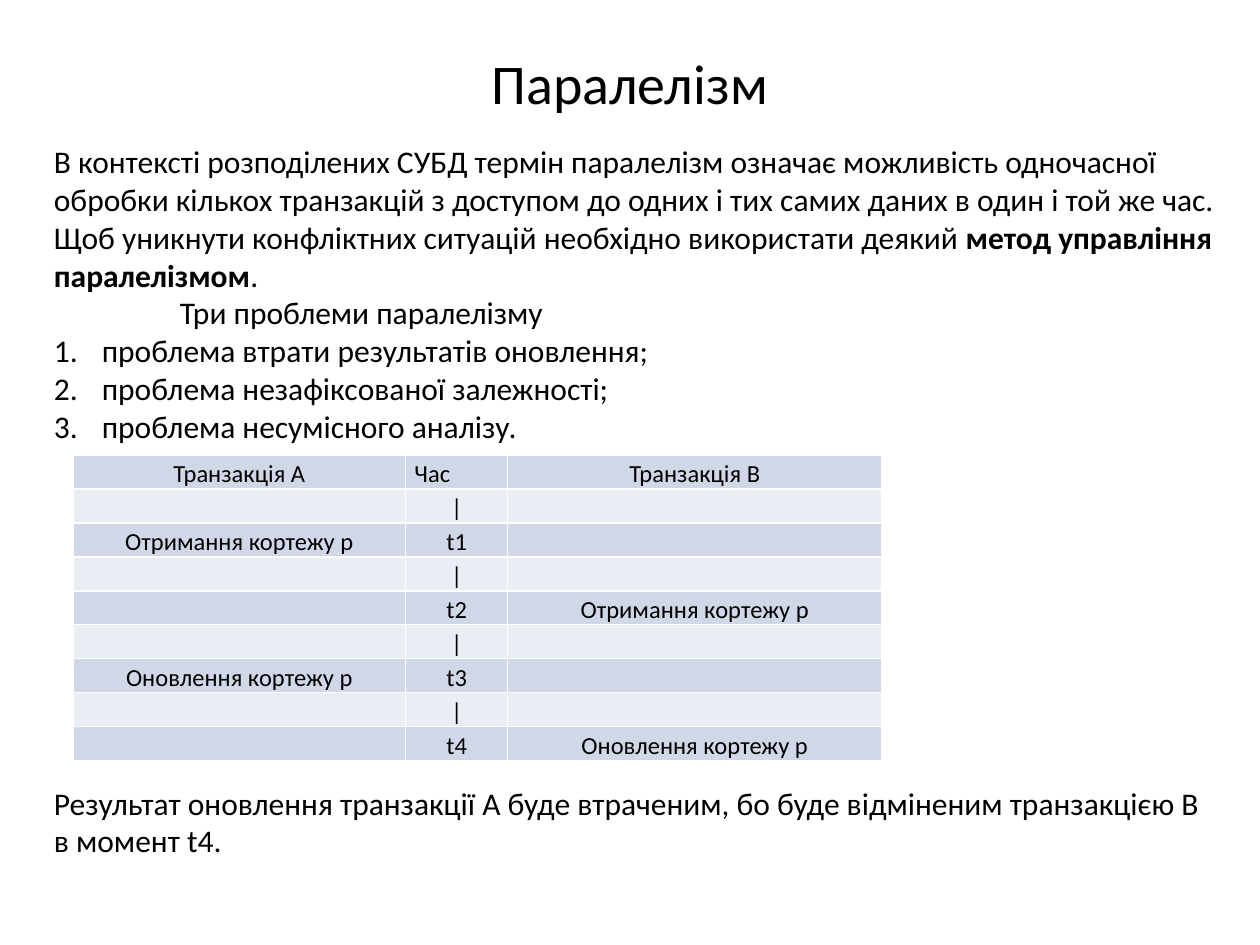
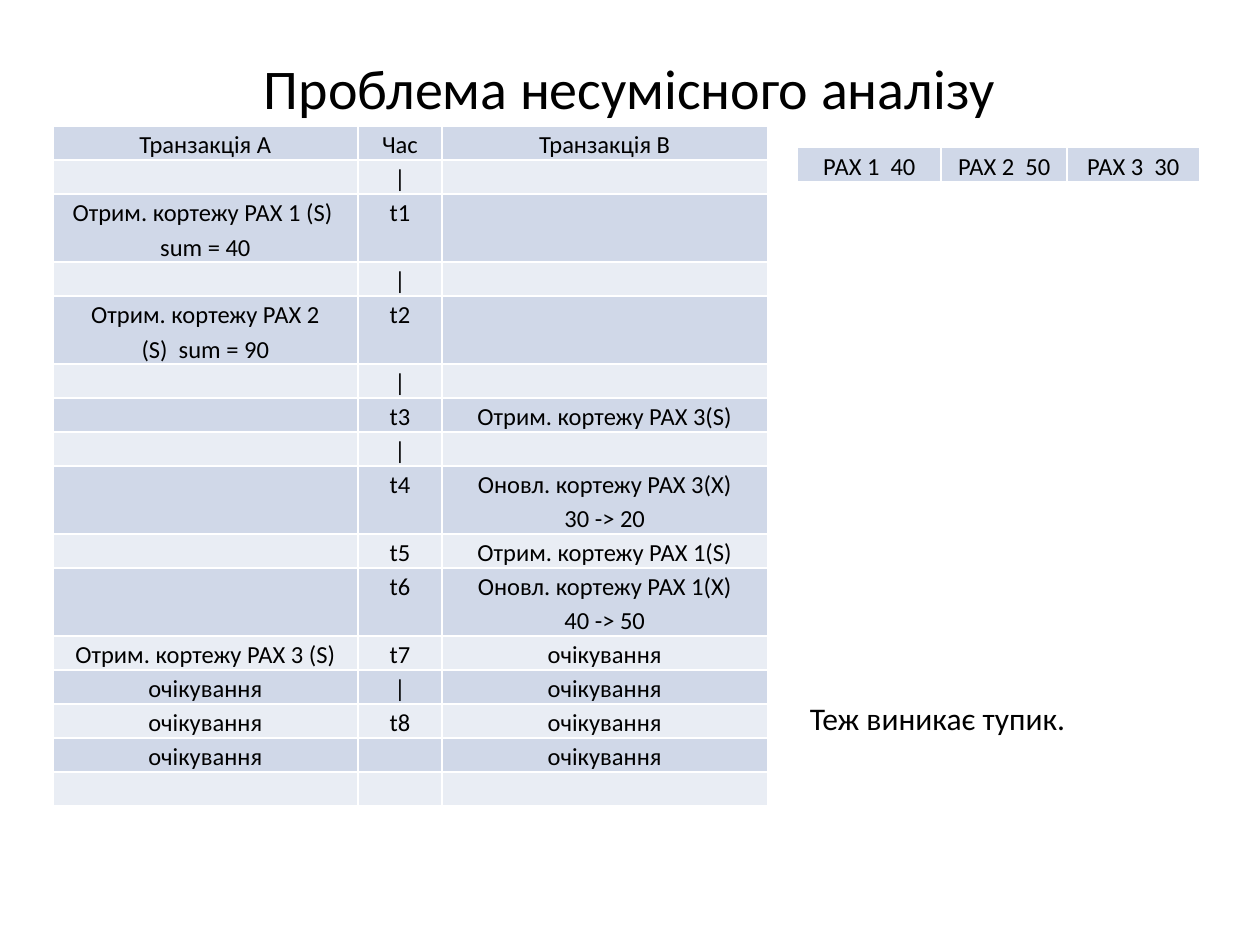
from dataclasses import dataclass

from lxml.etree import SubElement
from pptx import Presentation
from pptx.dml.color import RGBColor as Color
from pptx.enum.text import MSO_ANCHOR as Anchor, PP_ALIGN as Align
from pptx.oxml.ns import qn
from pptx.util import Inches, Pt


@dataclass(frozen=True)
class Theme:
    font: str = "Calibri"
    text: str = "000000"
    background: str = "FFFFFF"
    border: str = "FFFFFF"
    bands: tuple = ("D0D8E8", "E9EDF4")
    title_size: int = 32
    body_size: int = 18
    cell_size: int = 14
    cell_spacing: float = 1.15
    cell_margin: float = 0.07
    line_height: float = 0.27
    number_indent: float = 0.38


THEME = Theme()
TICK = ("", "|", "")
WAIT = "очікування"

LOST_UPDATE = [
    ("Транзакція А", "Час", "Транзакція В"),
    TICK,
    ("Отримання кортежу р", "t1", ""),
    TICK,
    ("", "t2", "Отримання кортежу р"),
    TICK,
    ("Оновлення кортежу р", "t3", ""),
    TICK,
    ("", "t4", "Оновлення кортежу р"),
]

# A line break in a cell starts a new paragraph
INCONSISTENT_ANALYSIS = [
    ("Транзакція А", "Час", "Транзакція В"),
    TICK,
    ("Отрим. кортежу РАХ 1 (S)  sum = 40", "t1", ""),
    TICK,
    ("Отрим. кортежу РАХ 2\n(S)  sum = 90", "t2", ""),
    TICK,
    ("", "t3", "Отрим. кортежу РАХ 3(S)"),
    TICK,
    ("", "t4", "Оновл. кортежу РАХ 3(Х)\n30 -> 20"),
    ("", "t5", "Отрим. кортежу РАХ 1(S)"),
    ("", "t6", "Оновл. кортежу РАХ 1(Х)\n40 -> 50"),
    ("Отрим. кортежу РАХ 3 (S)", "t7", WAIT),
    (WAIT, "|", WAIT),
    (WAIT, "t8", WAIT),
    (WAIT, "", WAIT),
    ("", "", ""),
]
DOUBLE_ROWS = {2, 4, 8, 10}

ACCOUNTS = [("РАХ 1  40", "РАХ 2  50", "РАХ 3  30")]


# Text
def add_run(paragraph, text, size, bold=False):
    run = paragraph.add_run()
    run.text = text
    run.font.name = THEME.font
    run.font.size = Pt(size)
    run.font.bold = bold
    run.font.color.rgb = Color.from_string(THEME.text)


def indent(paragraph, left, numbered=False):
    properties = paragraph._p.get_or_add_pPr()
    properties.set("marL", str(Inches(left)))
    if numbered:
        properties.set("indent", str(-Inches(left)))
        SubElement(properties, qn("a:buFont"), typeface="+mj-lt")
        SubElement(properties, qn("a:buAutoNum"), type="arabicPeriod")


def add_text_frame(slide, left, top, width, height):
    shape = slide.shapes.add_textbox(*map(Inches, (left, top, width, height)))
    shape.text_frame.word_wrap = True
    return shape.text_frame


def add_title(slide, text, height):
    frame = add_text_frame(slide, 0.5, 0.3, 9, height)
    frame.vertical_anchor = Anchor.MIDDLE
    paragraph = frame.paragraphs[0]
    paragraph.alignment = Align.CENTER
    add_run(paragraph, text, THEME.title_size)


def add_body(slide, text, *place):
    frame = add_text_frame(slide, *place)
    add_run(frame.paragraphs[0], text, THEME.body_size)
    return frame


# Tables
def add_borders(cell):
    properties = cell._tc.get_or_add_tcPr()
    for position, side in enumerate(("a:lnL", "a:lnR", "a:lnT", "a:lnB")):
        line = SubElement(properties, qn(side), w=str(Pt(1)))
        fill = SubElement(line, qn("a:solidFill"))
        SubElement(fill, qn("a:srgbClr"), val=THEME.border)
        properties.insert(position, line)


def fill_cell(cell, text, band):
    cell.margin_left = cell.margin_right = Inches(THEME.cell_margin)
    cell.margin_top = cell.margin_bottom = 0
    cell.fill.solid()
    cell.fill.fore_color.rgb = Color.from_string(band)
    add_borders(cell)
    frame = cell.text_frame
    for index, line in enumerate(text.split("\n")):
        paragraph = frame.add_paragraph() if index else frame.paragraphs[0]
        paragraph.alignment = Align.CENTER
        paragraph.line_spacing = THEME.cell_spacing
        if line:
            add_run(paragraph, line, THEME.cell_size)
        else:
            # Keeps an empty cell from stretching its row
            SubElement(paragraph._p, qn("a:endParaRPr"), sz=str(THEME.cell_size * 100))


def add_banded_table(slide, left, top, widths, rows, double_rows=()):
    heights = [THEME.line_height * (2 if index in double_rows else 1)
               for index in range(len(rows))]
    table = slide.shapes.add_table(
        len(rows), len(widths), Inches(left), Inches(top),
        Inches(sum(widths)), Inches(sum(heights))).table
    table.first_row = table.horz_banding = False
    for column, width in zip(table.columns, widths):
        column.width = Inches(width)
    for index, texts in enumerate(rows):
        table.rows[index].height = Inches(heights[index])
        for column, text in enumerate(texts):
            fill_cell(table.cell(index, column), text, THEME.bands[index % 2])
    return table


# Slides
def add_blank_slide(presentation):
    slide = presentation.slides.add_slide(presentation.slide_layouts[6])
    slide.background.fill.solid()
    slide.background.fill.fore_color.rgb = Color.from_string(THEME.background)
    return slide


def build_concurrency(presentation):
    slide = add_blank_slide(presentation)
    add_title(slide, "Паралелізм", 0.7)

    # Definition and the three problems
    frame = add_body(
        slide,
        "В контексті розподілених СУБД термін паралелізм означає можливість "
        "одночасної обробки кількох транзакцій з доступом до одних і тих самих "
        "даних в один і той же час. Щоб уникнути конфліктних ситуацій необхідно "
        "використати деякий ",
        0.33, 1.08, 9.5, 2.52)
    definition = frame.paragraphs[0]
    add_run(definition, "метод управління паралелізмом", THEME.body_size, bold=True)
    add_run(definition, ".", THEME.body_size)
    heading = frame.add_paragraph()
    indent(heading, 1)
    add_run(heading, "Три проблеми паралелізму", THEME.body_size)
    for problem in ("проблема втрати результатів оновлення;",
                    "проблема незафіксованої залежності;",
                    "проблема несумісного аналізу."):
        paragraph = frame.add_paragraph()
        indent(paragraph, THEME.number_indent, numbered=True)
        add_run(paragraph, problem, THEME.body_size)

    # Lost update schedule
    table = add_banded_table(slide, 0.58, 3.61, (2.64, 0.81, 2.97), LOST_UPDATE)
    table.cell(0, 1).text_frame.paragraphs[0].alignment = Align.LEFT
    add_body(
        slide,
        "Результат оновлення транзакції А буде втраченим, бо буде відміненим "
        "транзакцією В в момент t4.",
        0.33, 6.17, 9.33, 0.71)


def build_inconsistent_analysis(presentation):
    slide = add_blank_slide(presentation)
    add_title(slide, "Проблема несумісного аналізу", 0.78)
    add_banded_table(slide, 0.42, 1, (2.42, 0.67, 2.58),
                     INCONSISTENT_ANALYSIS, DOUBLE_ROWS)

    # Account balances and conclusion
    add_banded_table(slide, 6.33, 1.17, (1.14, 1, 1.05), ACCOUNTS)
    add_body(slide, "Теж виникає тупик.", 6.33, 5.5, 2.92, 0.4)


def main():
    presentation = Presentation()
    presentation.slide_width = Inches(10)
    presentation.slide_height = Inches(7.5)
    build_concurrency(presentation)
    build_inconsistent_analysis(presentation)
    presentation.save("out.pptx")


if __name__ == "__main__":
    main()
